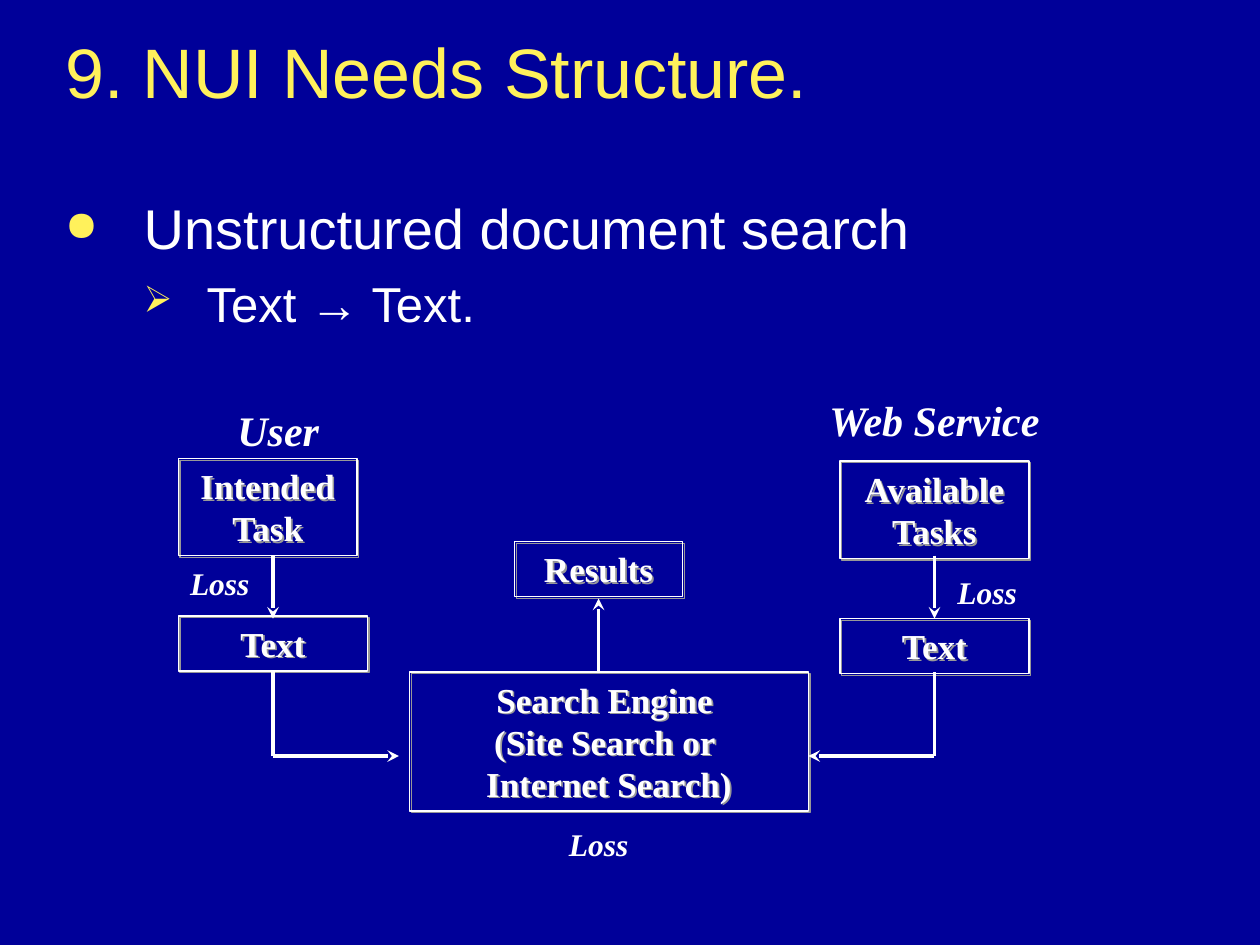
import pptx
import pptx.util
import pptx.dml.color
import pptx.enum.shapes
import pptx.enum.text
import pptx.oxml
from lxml import etree

Pt = pptx.util.Pt
ALIGN = pptx.enum.text.PP_ALIGN
AUTO_SIZE = pptx.enum.text.MSO_AUTO_SIZE
NS = 'xmlns:a="http://schemas.openxmlformats.org/drawingml/2006/main"'
COLORS = {
    "background": "000099",
    "accent": "FFF15B",
    "text": "FFFFFF",
    "shadow": "989898",
}
RGB = {name: pptx.dml.color.RGBColor.from_string(value) for name, value in COLORS.items()}


def style(paragraph, size, font="Times New Roman", color="text", bold=False, italic=False):
    paragraph.font.name = font
    paragraph.font.size = Pt(size)
    paragraph.font.bold = bold
    paragraph.font.italic = italic
    paragraph.font.color.rgb = RGB[color]


def add_xml(parent, xml):
    """Append an element written with the a: prefix."""
    parent.append(pptx.oxml.parse_xml(xml.replace(">", f" {NS}>", 1) if "/>" not in xml.split(">")[0] + ">"
                                      else xml.replace("/>", f" {NS}/>", 1)))


prs = pptx.Presentation()
prs.slide_width, prs.slide_height = Pt(720), Pt(540)
slide = prs.slides.add_slide(prs.slide_layouts[5])
slide.background.fill.solid()
slide.background.fill.fore_color.rgb = RGB["background"]

# Title
title = slide.shapes.title
title.left, title.top, title.width, title.height = Pt(30), Pt(18), Pt(675), Pt(50)
title.text_frame.text = "9. NUI Needs Structure."
title.text_frame.vertical_anchor = pptx.enum.text.MSO_ANCHOR.TOP
heading = title.text_frame.paragraphs[0]
heading.alignment = ALIGN.LEFT
heading.line_spacing = 0.9
style(heading, 40, "Arial", "accent")

# Bullets
points = slide.shapes.add_textbox(Pt(30), Pt(111.5), Pt(675), Pt(83)).text_frame
points.word_wrap = True
points.text = "Unstructured document search\nText → Text."
bullets = [("●", 0, 45, 45, 0, 32), ("➢", 1, 81, 36, 10.5, 28)]
for paragraph, (mark, level, margin, hanging, before, size) in zip(points.paragraphs, bullets):
    paragraph.level = level
    paragraph.line_spacing = 0.9
    paragraph.space_before = Pt(before)
    properties = paragraph._p.get_or_add_pPr()
    properties.set("marL", str(Pt(margin)))
    properties.set("indent", str(-Pt(hanging)))
    add_xml(properties, f'<a:buClr><a:srgbClr val="{COLORS["accent"]}"/></a:buClr>')
    add_xml(properties, '<a:buSzPct val="75000"/>')
    add_xml(properties, f'<a:buChar char="{mark}"/>')
    style(paragraph, size, "Arial")

# Boxes of the search flow
steps = [
    ("Intended Task", 102, 262, 102, 55.5),
    ("Text", 102, 352, 108, 31.5),
    ("Available Tasks", 480, 263.5, 108, 55.5),
    ("Text", 480, 353.5, 108, 31.5),
    ("Search Engine \v(Site Search or \vInternet Search)", 234, 384, 228, 79.5),
    ("Results", 294, 309.5, 96, 31.5),
]
for label, left, top, width, height in steps:
    step = slide.shapes.add_shape(pptx.enum.shapes.MSO_SHAPE.RECTANGLE,
                                  Pt(left), Pt(top), Pt(width), Pt(height))
    step.fill.background()
    step.line.color.rgb = RGB["text"]
    step.line.width = Pt(0.75)
    add_xml(step._element.spPr,
            f'<a:effectLst><a:outerShdw dist="{Pt(1.4)}" dir="2700000" algn="ctr" rotWithShape="0">'
            f'<a:srgbClr val="{COLORS["shadow"]}"/></a:outerShdw></a:effectLst>')
    frame = step.text_frame
    frame.text = label
    frame.word_wrap = True
    frame.auto_size = AUTO_SIZE.SHAPE_TO_FIT_TEXT
    frame.vertical_anchor = pptx.enum.text.MSO_ANCHOR.TOP
    frame.paragraphs[0].alignment = ALIGN.CENTER
    style(frame.paragraphs[0], 20, bold=True)

# Arrows between the boxes; an elbow is a plain line followed by an arrow
user_x, results_x, service_x, elbow_y = 156, 342, 534, 432
flows = [
    (user_x, 317.5, user_x, 353.5, True),
    (user_x, elbow_y, user_x, 384, False),
    (user_x, elbow_y, 228, elbow_y, True),
    (service_x, 317.5, service_x, 353.5, True),
    (service_x, elbow_y, service_x, 384, False),
    (service_x, elbow_y, 462, elbow_y, True),
    (results_x, 384, results_x, 342, True),
]
for x1, y1, x2, y2, has_head in flows:
    flow = slide.shapes.add_connector(pptx.enum.shapes.MSO_CONNECTOR.STRAIGHT,
                                      Pt(x1), Pt(y1), Pt(x2), Pt(y2))
    flow.line.color.rgb = RGB["text"]
    flow.line.width = Pt(2.25)
    if has_head:
        add_xml(flow.line._get_or_add_ln(), '<a:tailEnd type="stealth"/>')
    add_xml(flow._element.spPr, '<a:effectLst/>')

# Captions
captions = [
    ("User", 102, 227.5, 114, 36, 24),
    ("Web Service", 450, 222, 168, 36, 24),
    ("Loss", 101.5, 319, 48.5, 29, 18),
    ("Loss", 540, 324, 48.5, 29, 18),
    ("Loss", 318, 468, 48.5, 29, 18),
]
for label, left, top, width, height, size in captions:
    caption = slide.shapes.add_textbox(Pt(left), Pt(top), Pt(width), Pt(height)).text_frame
    caption.text = label
    caption.word_wrap = label != "Loss"
    caption.auto_size = AUTO_SIZE.SHAPE_TO_FIT_TEXT
    caption.paragraphs[0].alignment = ALIGN.LEFT if label == "Loss" else ALIGN.CENTER
    style(caption.paragraphs[0], size, bold=True, italic=True)

prs.save("out.pptx")
